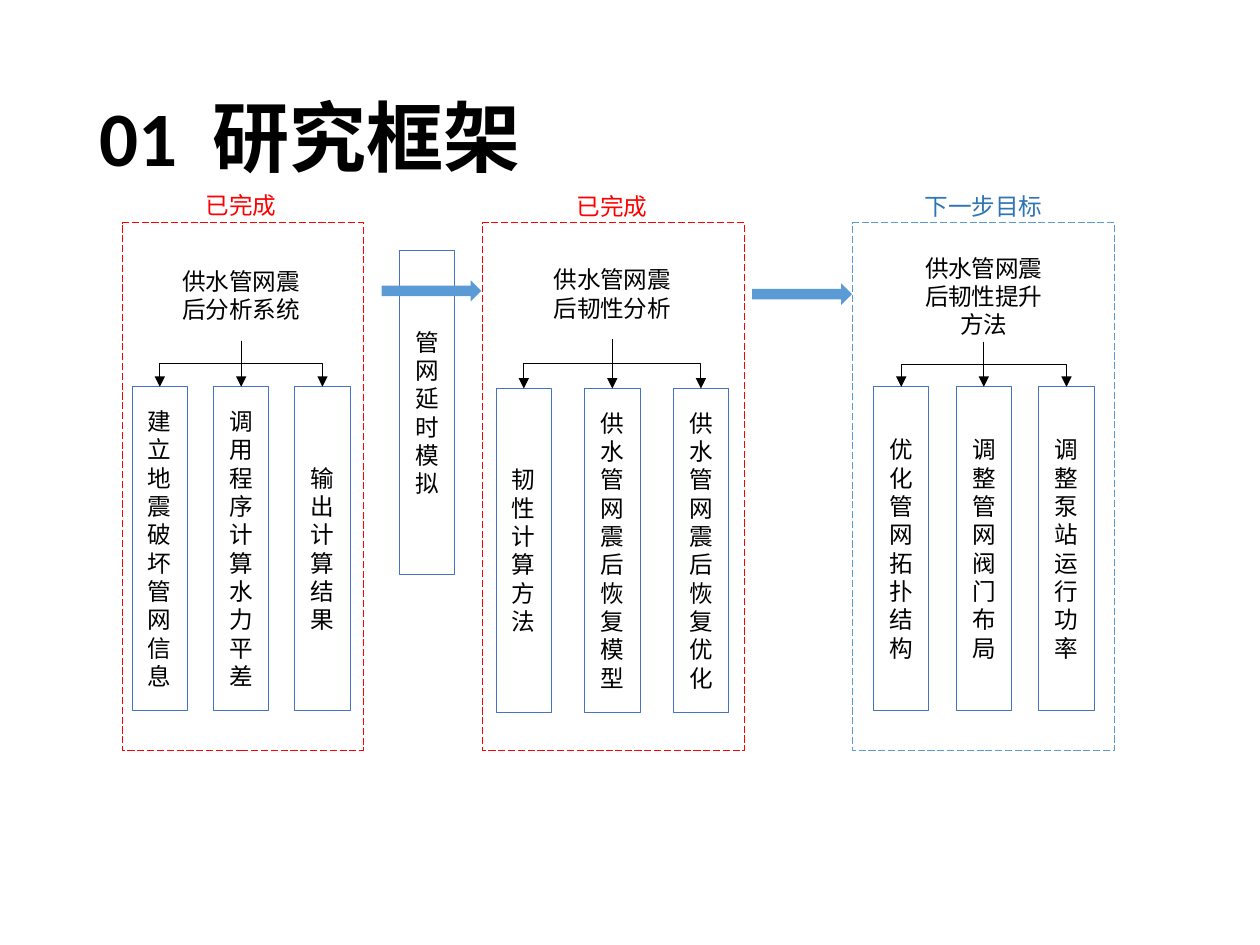
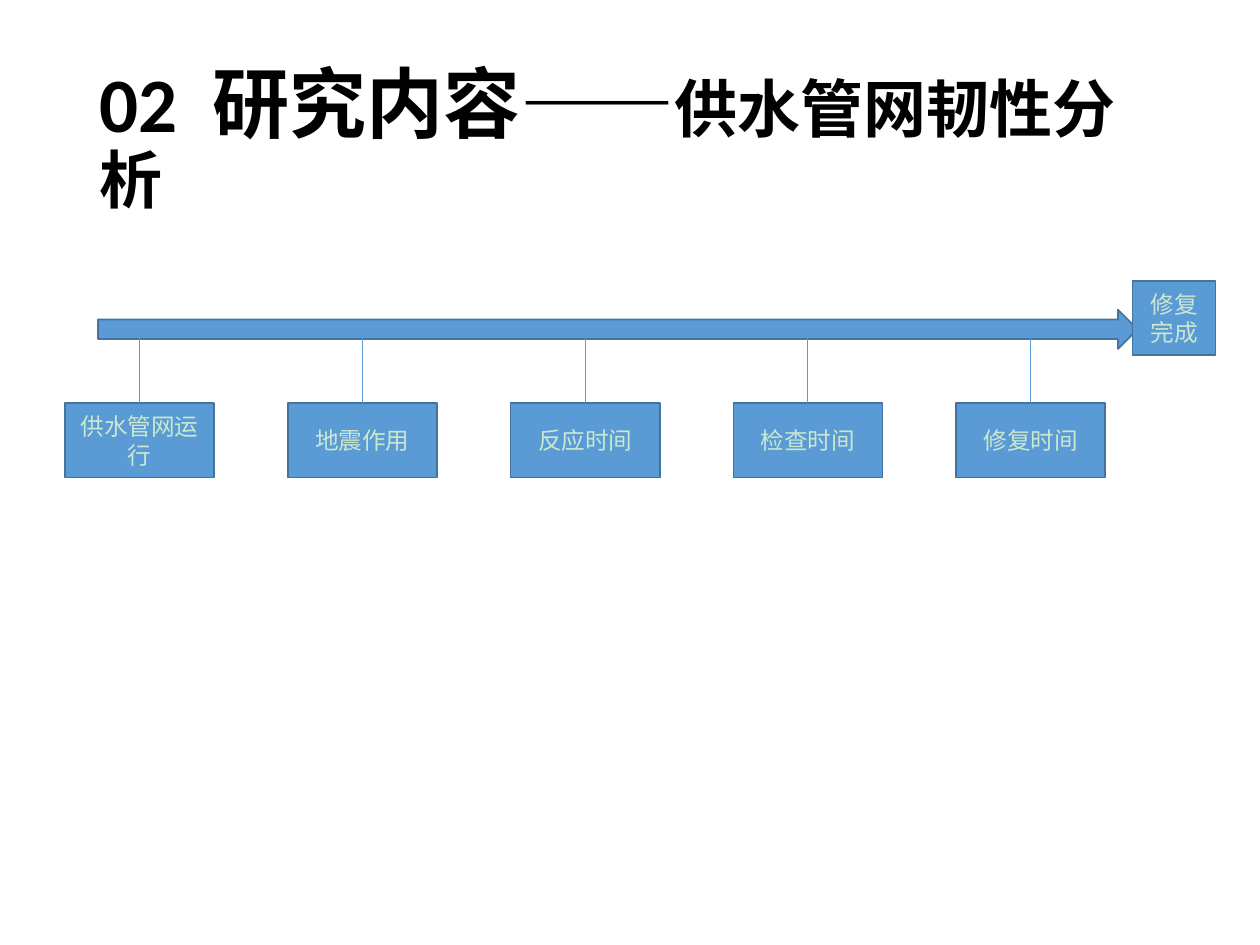
"""Build two slides: the research framework and the resilience analysis timeline."""
import collections

import lxml.etree
import pptx
import pptx.dml.color
import pptx.enum.dml
import pptx.enum.shapes
import pptx.enum.text
import pptx.oxml.ns
import pptx.util

Pt = pptx.util.Pt
qn = pptx.oxml.ns.qn
Shapes = pptx.enum.shapes.MSO_SHAPE
Connectors = pptx.enum.shapes.MSO_CONNECTOR

FONT = "Calibri"
TEXT_SIZE = 13.5
BLACK, WHITE, RED = "000000", "FFFFFF", "FF0000"
BLUE, DARK_BLUE, LABEL_BLUE, BOX_BLUE = "5B9BD5", "43739E", "2E75B6", "4472C4"
PALE_GREEN = "CAE8CF"

STEP_WIDTH, STEP_HEIGHT = 31.7, 185

Stage = collections.namedtuple(
    "Stage", "label label_color frame_color frame_left frame_width "
             "center heading heading_top steps steps_top pitch label_top")

STAGES = [
    Stage("已完成", RED, RED, 69.8, 137.8, 137.8, "供水管网震后分析系统", 142.6,
          ["建立地震破坏管网信息", "调用程序计算水力平差", "输出计算结果"], 221, 46.5, 101),
    Stage("已完成", RED, RED, 275.6, 149.8, 349.9, "供水管网震后韧性分析", 141.8,
          ["韧性计算方法", "供水管网震后恢复模型", "供水管网震后恢复优化"], 222, 50.6, 101.5),
    Stage("下一步目标", LABEL_BLUE, BLUE, 487.2, 149.8, 562.2, "供水管网震后韧性提升方法", 143.3,
          ["优化管网拓扑结构", "调整管网阀门布局", "调整泵站运行功率"], 221, 47.2, 101.5),
]
EVENTS = ["供水管网运行", "地震作用", "反应时间", "检查时间", "修复时间"]


def color(hex_string):
    return pptx.dml.color.RGBColor.from_string(hex_string)


def format_text(paragraph, text_color):
    paragraph.font.name = FONT
    paragraph.font.size = Pt(TEXT_SIZE)
    paragraph.font.color.rgb = color(text_color)


def add_titled_slide(presentation, number, *parts):
    slide = presentation.slides.add_slide(presentation.slide_layouts[5])
    title = slide.shapes.title
    title.left, title.top, title.width, title.height = Pt(49.5), Pt(28.8), Pt(621), Pt(104.4)
    frame = title.text_frame
    frame.word_wrap = True
    frame.auto_size = pptx.enum.text.MSO_AUTO_SIZE.NONE
    frame.vertical_anchor = pptx.enum.text.MSO_ANCHOR.MIDDLE
    paragraph = frame.paragraphs[0]
    paragraph.alignment = pptx.enum.text.PP_ALIGN.LEFT
    paragraph.line_spacing = 0.9
    paragraph.font.name = FONT
    paragraph.font.bold = True
    paragraph.font.color.rgb = color(BLACK)
    for text, size in [(number, 44), (" ", 44), *parts]:
        run = paragraph.add_run()
        run.text = text
        run.font.size = Pt(size)
        if text == " ":
            run.font._element.set("spc", "1000")
    return slide


def add_block(slide, kind, left, top, width, height, fill=None, line=None,
              line_width=0.5, text="", text_color=BLACK):
    shape = slide.shapes.add_shape(kind, Pt(left), Pt(top), Pt(width), Pt(height))
    shape.shadow.inherit = False
    if fill:
        shape.fill.solid()
        shape.fill.fore_color.rgb = color(fill)
    else:
        shape.fill.background()
    if line:
        shape.line.color.rgb = color(line)
        shape.line.width = Pt(line_width)
    else:
        shape.line.fill.background()
    if text:
        paragraph = shape.text_frame.paragraphs[0]
        paragraph.text = text
        paragraph.alignment = pptx.enum.text.PP_ALIGN.CENTER
        format_text(paragraph, text_color)
    return shape


def add_step(slide, text, left, top):
    return add_block(slide, Shapes.RECTANGLE, left, top, STEP_WIDTH, STEP_HEIGHT,
                     WHITE, BOX_BLUE, text=text)


def add_label(slide, text, center, top, text_color):
    width = len(text) * TEXT_SIZE + 14.4
    box = slide.shapes.add_textbox(Pt(center - width / 2), Pt(top), Pt(width), Pt(26.6))
    box.text_frame.word_wrap = False
    box.text_frame.auto_size = pptx.enum.text.MSO_AUTO_SIZE.SHAPE_TO_FIT_TEXT
    paragraph = box.text_frame.paragraphs[0]
    paragraph.text = text
    paragraph.line_spacing = 1.3
    format_text(paragraph, text_color)


def add_line(slide, kind, start, end, line_color, arrowhead=False):
    connector = slide.shapes.add_connector(kind, *map(Pt, (*start, *end)))
    connector.line.color.rgb = color(line_color)
    connector.line.width = Pt(0.5)
    properties = connector.element.spPr
    if arrowhead:
        lxml.etree.SubElement(properties.find(qn("a:ln")), qn("a:tailEnd"), type="triangle")
    lxml.etree.SubElement(properties, qn("a:effectLst"))
    return connector


def add_branch(slide, start, end):
    drop, reach = end[1] - start[1], abs(end[0] - start[0])
    left = (start[0] + end[0] - drop) / 2
    top = (start[1] + end[1] - reach) / 2
    sides, rotation = (left, left + drop), "5400000"
    if end[0] > start[0]:
        sides, rotation = sides[::-1], "16200000"
    connector = add_line(slide, Connectors.ELBOW, (sides[0], top), (sides[1], top + reach),
                         BLACK, arrowhead=True)
    connector.element.spPr.find(qn("a:xfrm")).set("rot", rotation)


def add_stage(slide, stage):
    heading_width, heading_height = 94.4, 52
    heading = add_block(slide, Shapes.RECTANGLE, stage.center - heading_width / 2,
                        stage.heading_top, heading_width, heading_height,
                        WHITE, text=stage.heading)
    fork = (stage.center, stage.heading_top + heading_height)
    for offset, text in zip((-1, 0, 1), stage.steps):
        step_center = stage.center + offset * stage.pitch
        step = add_step(slide, text, step_center - STEP_WIDTH / 2, stage.steps_top)
        tip = (step_center, stage.steps_top)
        if offset:
            add_branch(slide, fork, tip)
        else:
            stem = add_line(slide, Connectors.STRAIGHT, fork, tip, BLACK, arrowhead=True)
            stem.begin_connect(heading, 2)
            stem.end_connect(step, 0)
    frame = add_block(slide, Shapes.RECTANGLE, stage.frame_left, 127.2,
                      stage.frame_width, 301.7, line=stage.frame_color)
    frame.line.dash_style = pptx.enum.dml.MSO_LINE.LONG_DASH
    add_label(slide, stage.label, stage.center, stage.label_top, stage.label_color)


def add_event(slide, text, left, top, width):
    return add_block(slide, Shapes.RECTANGLE, left, top, width, 42.5, BLUE, DARK_BLUE, 1,
                     text, PALE_GREEN)


def build_framework(presentation):
    slide = add_titled_slide(presentation, "01", ("研究框架", 44))
    add_step(slide, "管网延时模拟", 228.2, 143.2)
    for left, top in [(218, 160.2), (429.8, 162)]:
        add_block(slide, Shapes.RIGHT_ARROW, left, top, 57, 12.2, BLUE)
    for stage in STAGES:
        add_stage(slide, stage)


def build_timeline(presentation):
    slide = add_titled_slide(presentation, "02", ("研究内容——", 44), ("供水管网韧性分析", 36))
    add_block(slide, Shapes.RIGHT_ARROW, 56, 177, 594, 22.4, BLUE, DARK_BLUE, 1)
    event_width, event_top = 85.2, 230.4
    for index, text in enumerate(EVENTS):
        left = 37.2 + index * 127.3
        event = add_event(slide, text, left, event_top, event_width)
        center = left + event_width / 2
        tick = add_line(slide, Connectors.STRAIGHT, (center, 188), (center, event_top), BLUE)
        tick.end_connect(event, 0)
    add_event(slide, "修复完成", 647.2, 160.4, 47.4)


def main():
    presentation = pptx.Presentation()
    presentation.slide_width, presentation.slide_height = Pt(720), Pt(540)
    build_framework(presentation)
    build_timeline(presentation)
    presentation.save("out.pptx")


if __name__ == "__main__":
    main()
